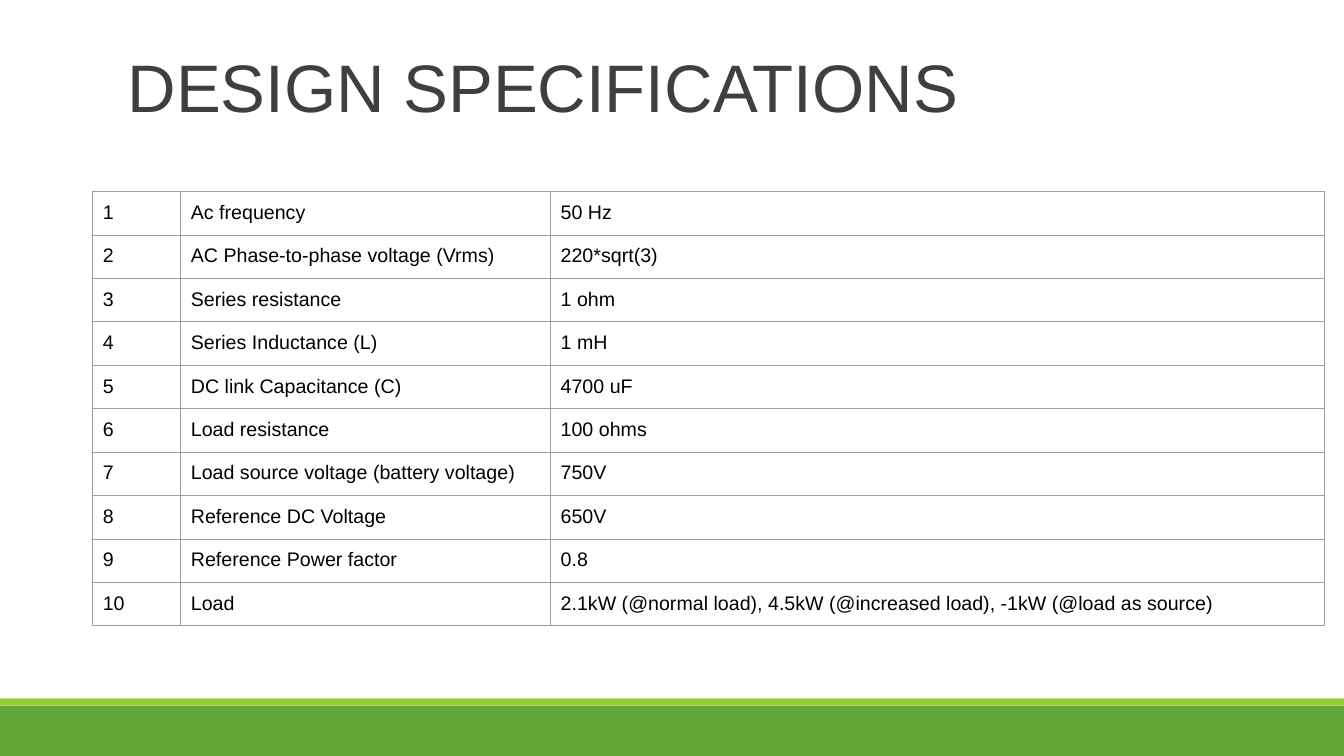
from lxml.etree import SubElement
from pptx import Presentation
from pptx.dml.color import RGBColor
from pptx.enum.shapes import MSO_CONNECTOR, MSO_SHAPE
from pptx.enum.text import MSO_ANCHOR
from pptx.oxml.ns import qn
from pptx.util import Cm, Pt

GREEN = RGBColor(0x63, 0xA5, 0x37)
LIME = RGBColor(0x99, 0xCB, 0x38)
CHARCOAL = RGBColor(0x3F, 0x3F, 0x3F)
RULE_GRAY = RGBColor(0x7F, 0x7F, 0x7F)
BORDER_GRAY = RGBColor(0x9E, 0x9E, 0x9E)
BLACK = RGBColor(0, 0, 0)

SLIDE_WIDTH, SLIDE_HEIGHT = 33.87, 19.05
COLUMN_WIDTHS = (2.22, 9.32, 19.5)
ROW_HEIGHT = 1.06
SPECIFICATIONS = (
    ("Ac frequency", "50 Hz"),
    ("AC Phase-to-phase voltage (Vrms)", "220*sqrt(3)"),
    ("Series resistance", "1 ohm"),
    ("Series Inductance (L)", "1 mH"),
    ("DC link Capacitance (C)", "4700 uF"),
    ("Load resistance", "100 ohms"),
    ("Load source voltage (battery voltage)", "750V"),
    ("Reference DC Voltage", "650V"),
    ("Reference Power factor", "0.8"),
    ("Load", "2.1kW (@normal load), 4.5kW (@increased load), -1kW (@load as source)"),
)


class SlideBuilder:
    """Draws styled elements on the current slide."""

    font_name = "Arial"
    line_width = Pt(0.75)
    cell_margin = Cm(0.25)

    def __init__(self, page):
        self.page = page

    def style_text(self, para, size, color):
        para.font.name = self.font_name
        para.font.size = Pt(size)
        para.font.color.rgb = color

    def band(self, top, height, color):
        band = self.page.shapes.add_shape(
            MSO_SHAPE.RECTANGLE, 0, Cm(top), Cm(SLIDE_WIDTH), Cm(height))
        band.shadow.inherit = False
        band.fill.solid()
        band.fill.fore_color.rgb = color
        band.line.fill.background()

    def rule(self, left, right, top, color):
        rule = self.page.shapes.add_connector(
            MSO_CONNECTOR.STRAIGHT, Cm(left), Cm(top), Cm(right), Cm(top))
        rule.line.color.rgb = color
        rule.line.width = self.line_width
        SubElement(rule.element.spPr, qn("a:effectLst"))

    def title(self, text, left, top, width, height):
        box = self.page.shapes.add_textbox(Cm(left), Cm(top), Cm(width), Cm(height))
        frame = box.text_frame
        frame.word_wrap = True
        frame.vertical_anchor = MSO_ANCHOR.BOTTOM
        para = frame.paragraphs[0]
        para.text = text
        para.line_spacing = 0.85
        self.style_text(para, 48, CHARCOAL)

    def borders(self, cell):
        properties = cell._tc.get_or_add_tcPr()
        for index, side in enumerate(("lnL", "lnR", "lnT", "lnB")):
            border = properties.makeelement(qn(f"a:{side}"), {"w": str(self.line_width)})
            fill = SubElement(border, qn("a:solidFill"))
            SubElement(fill, qn("a:srgbClr"), val=str(BORDER_GRAY))
            properties.insert(index, border)

    def cell(self, cell, text):
        cell.margin_left = cell.margin_right = self.cell_margin
        cell.margin_top = cell.margin_bottom = self.cell_margin
        cell.fill.background()
        cell.text = text
        self.style_text(cell.text_frame.paragraphs[0], 14, BLACK)
        self.borders(cell)

    def table(self, rows, left, top):
        table = self.page.shapes.add_table(
            len(rows), len(COLUMN_WIDTHS), Cm(left), Cm(top),
            Cm(sum(COLUMN_WIDTHS)), Cm(ROW_HEIGHT * len(rows))).table
        table.first_row = table.horz_banding = False
        for column, width in zip(table.columns, COLUMN_WIDTHS):
            column.width = Cm(width)
        for row, texts in zip(table.rows, rows):
            row.height = Cm(ROW_HEIGHT)
            for cell, text in zip(row.cells, texts):
                self.cell(cell, text)


def main():
    deck = Presentation()
    deck.slide_width, deck.slide_height = Cm(SLIDE_WIDTH), Cm(SLIDE_HEIGHT)
    builder = SlideBuilder(deck.slides.add_slide(deck.slide_layouts[6]))
    builder.band(17.78, 1.27, GREEN)
    builder.band(17.6, 0.18, LIME)
    builder.rule(3.33, 31.01, 4.83, RULE_GRAY)
    builder.title("DESIGN SPECIFICATIONS", 2.97, 0.84, 27.94, 2.46)
    rows = [(str(number), *entry) for number, entry in enumerate(SPECIFICATIONS, 1)]
    builder.table(rows, 2.34, 4.83)
    deck.save("out.pptx")


if __name__ == "__main__":
    main()
